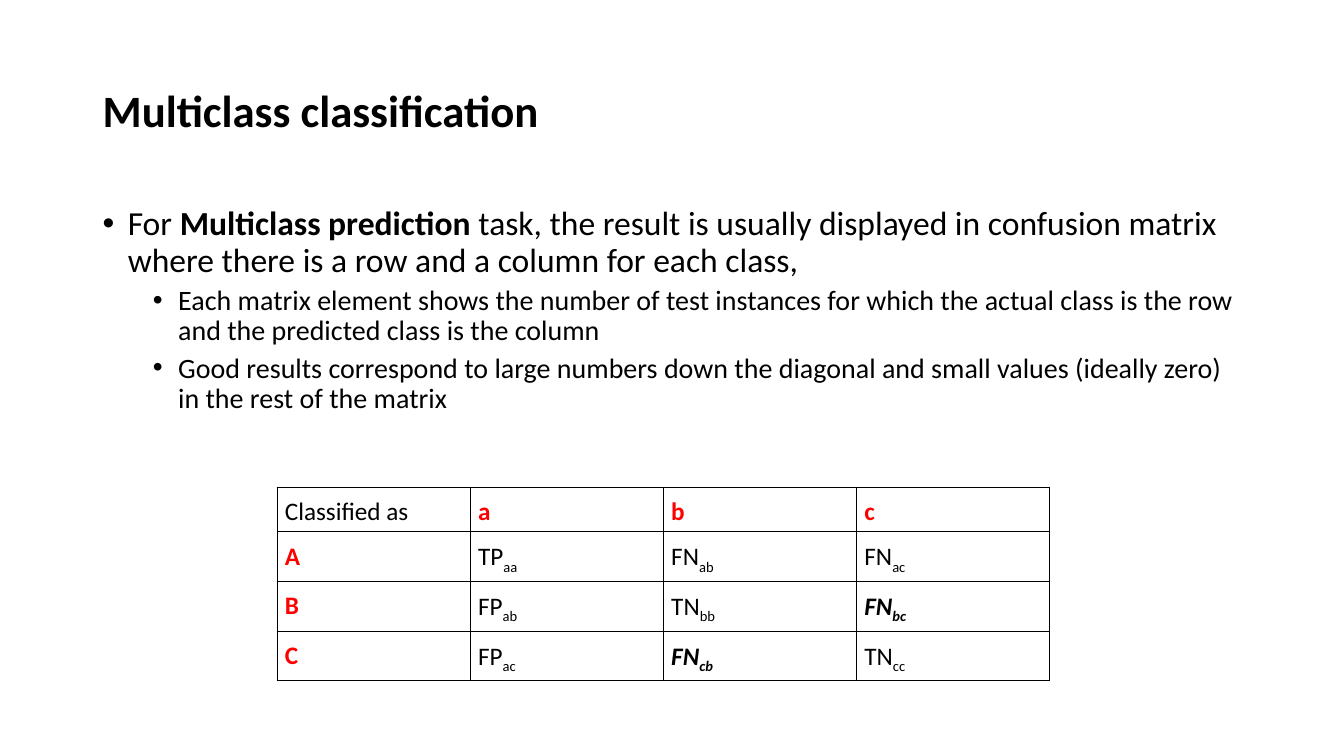
from dataclasses import dataclass

from lxml.etree import SubElement
from pptx import Presentation
from pptx.dml.color import RGBColor
from pptx.enum.text import MSO_ANCHOR, PP_ALIGN
from pptx.oxml.ns import qn
from pptx.util import Emu, Inches, Pt


@dataclass(frozen=True)
class Theme:
    font: str = "Calibri"
    ink: RGBColor = RGBColor(0, 0, 0)
    label: RGBColor = RGBColor(255, 0, 0)
    title: int = 32
    body: tuple = (24, 20)
    cell: int = 18
    border: float = 0.45


THEME = Theme()
TITLE = "Multiclass classification"
POINTS = [
    (0, [("For ", False), ("Multiclass prediction ", True),
         ("task, the result is usually displayed in confusion matrix "
          "where there is a row and a column for each class,", False)]),
    (1, [("Each matrix element shows the number of test instances for which "
          "the actual class is the row and the predicted class is the column", False)]),
    (1, [("Good results correspond to large numbers down the diagonal and "
          "small values (ideally zero) in the rest of the matrix", False)]),
]
MATRIX = [
    ["Classified as", "a", "b", "c"],
    ["A", "TP_aa", "FN_ab", "FN_ac"],
    ["B", "FP_ab", "TN_bb", "FN_bc"],
    ["C", "FP_ac", "FN_cb", "TN_cc"],
]
EMPHASIZED = {"FN_bc", "FN_cb"}


def share(prs, left, top, width, height):
    w, h = prs.slide_width, prs.slide_height
    return [Emu(round(v)) for v in (left * w, top * h, width * w, height * h)]


def add_run(p, text, size, color=THEME.ink, bold=False, italic=False):
    r = p.add_run()
    r.text = text
    f = r.font
    f.name, f.size, f.bold, f.italic = THEME.font, Pt(size), bold, italic
    f.color.rgb = color
    return r


def add_bullet(p, level):
    p.level = level
    pPr = p._p.get_or_add_pPr()
    pPr.set("marL", str(Inches(0.25 + 0.5 * level)))
    pPr.set("indent", str(Inches(-0.25)))
    SubElement(pPr, qn("a:buFont"), typeface="Arial")
    SubElement(pPr, qn("a:buChar"), char="•")


def add_title(s, box):
    tf = s.shapes.add_textbox(*box).text_frame
    tf.word_wrap = True
    tf.vertical_anchor = MSO_ANCHOR.MIDDLE
    p = tf.paragraphs[0]
    p.line_spacing = 0.9
    add_run(p, TITLE, THEME.title, bold=True)


def add_points(s, box):
    tf = s.shapes.add_textbox(*box).text_frame
    tf.word_wrap = True
    for i, (level, runs) in enumerate(POINTS):
        p = tf.add_paragraph() if i else tf.paragraphs[0]
        add_bullet(p, level)
        p.line_spacing = 0.9
        p.space_before = Pt(5 if i else 0)
        for text, bold in runs:
            add_run(p, text, THEME.body[level], bold=bold)


def add_borders(cell):
    tcPr = cell._tc.get_or_add_tcPr()
    for i, side in enumerate(("a:lnL", "a:lnR", "a:lnT", "a:lnB")):
        ln = tcPr.makeelement(qn(side), {"w": str(Pt(THEME.border))})
        fill = SubElement(ln, qn("a:solidFill"))
        SubElement(fill, qn("a:srgbClr"), val=str(THEME.ink))
        tcPr.insert(i, ln)


def fill_cell(cell, text, is_label):
    cell.fill.background()
    add_borders(cell)
    cell.margin_left = cell.margin_right = Inches(0.08)
    cell.margin_top = cell.margin_bottom = Inches(0.05)
    p = cell.text_frame.paragraphs[0]
    p.alignment = PP_ALIGN.JUSTIFY
    p.line_spacing = 1.15
    strong = text in EMPHASIZED
    color = THEME.label if is_label else THEME.ink
    base, _, index = text.partition("_")
    add_run(p, base, THEME.cell, color, strong or is_label, strong)
    if index:
        r = add_run(p, index, THEME.cell, color, strong, strong)
        r._r.get_or_add_rPr().set("baseline", "-25000")


def add_matrix(s, box):
    table = s.shapes.add_table(len(MATRIX), len(MATRIX[0]), *box).table
    table.first_row = table.horz_banding = False
    for i, row in enumerate(MATRIX):
        for j, text in enumerate(row):
            fill_cell(table.cell(i, j), text, (i == 0) != (j == 0))


def main():
    prs = Presentation()
    prs.slide_width, prs.slide_height = Inches(13.34), Inches(7.5)
    s = prs.slides.add_slide(prs.slide_layouts[6])
    add_title(s, share(prs, 0.069, 0.053, 0.862, 0.193))
    add_points(s, share(prs, 0.069, 0.267, 0.862, 0.635))
    add_matrix(s, share(prs, 0.206, 0.644, 0.575, 0.223))
    prs.save("out.pptx")


if __name__ == "__main__":
    main()
